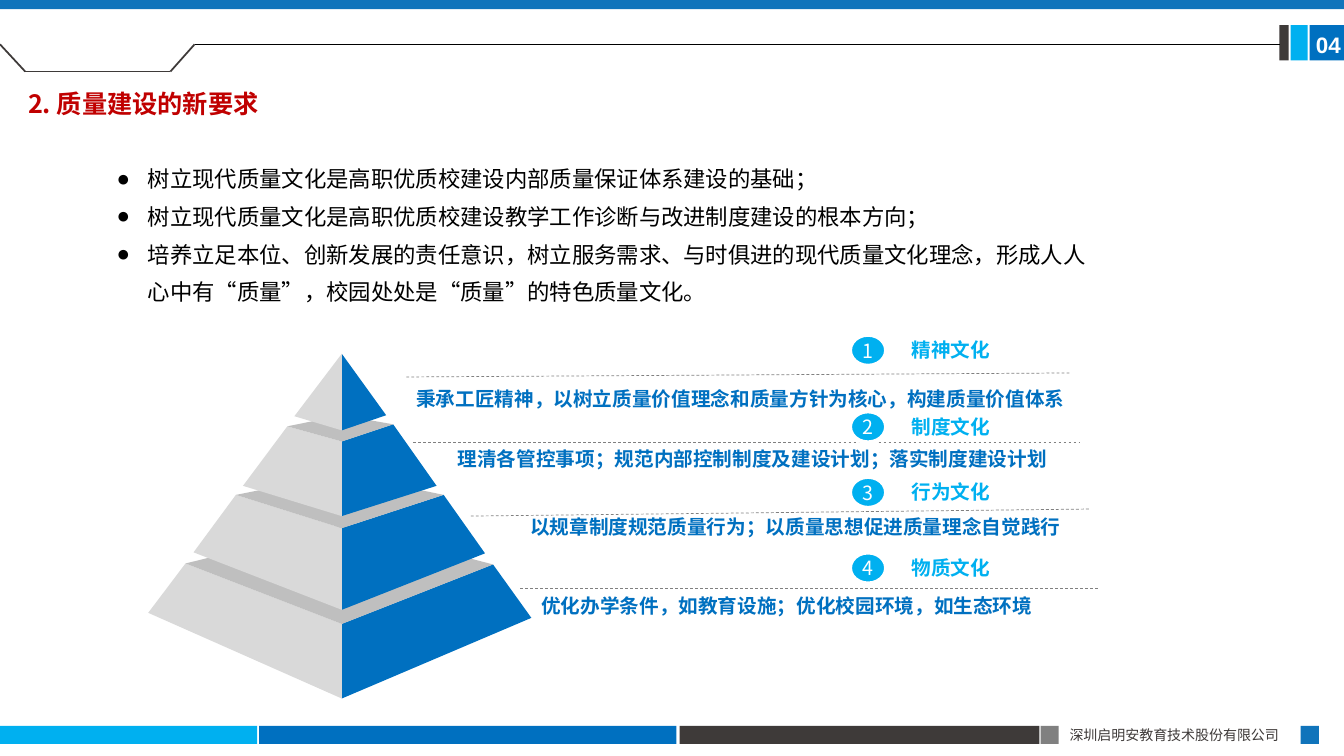
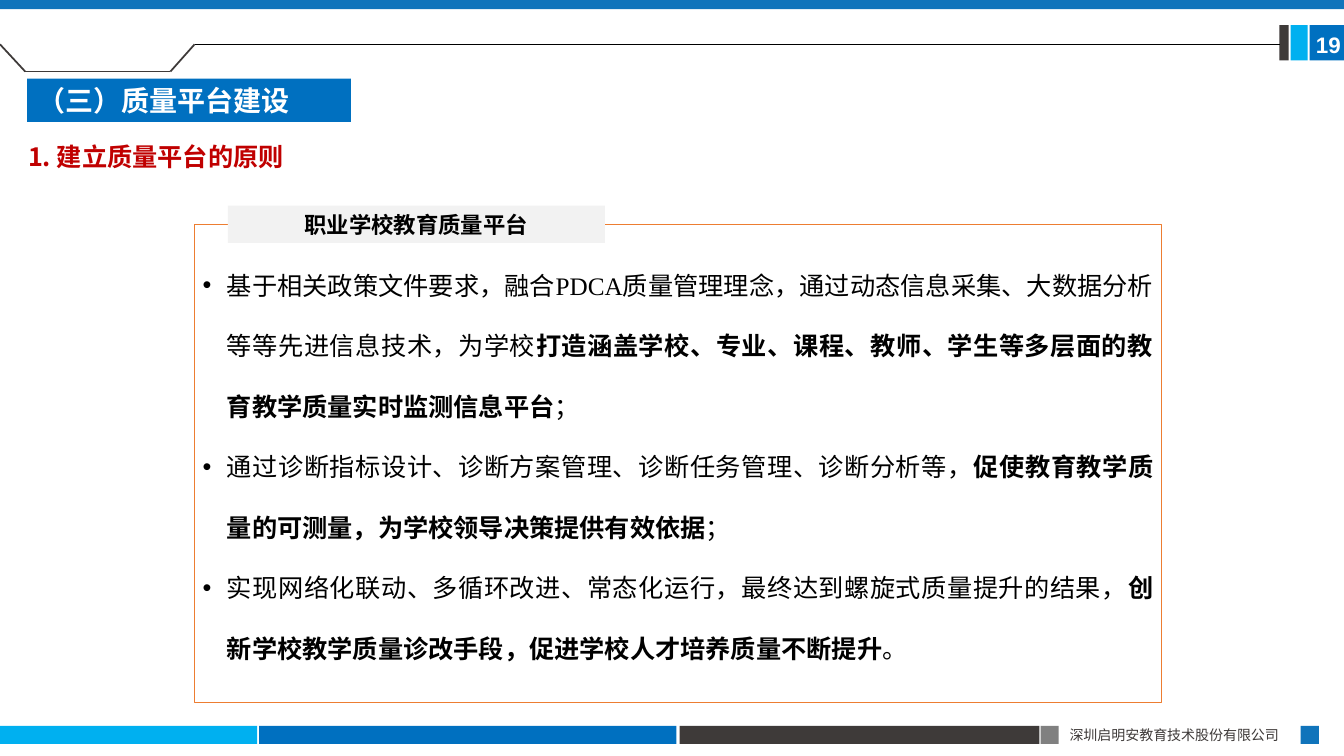
from lxml import etree
from pptx import Presentation
from pptx.dml.color import RGBColor
from pptx.enum.dml import MSO_LINE
from pptx.enum.shapes import MSO_CONNECTOR, MSO_SHAPE
from pptx.enum.text import MSO_ANCHOR, PP_ALIGN
from pptx.oxml.ns import qn
from pptx.util import Pt

PX = 9144
RECT, OVAL = MSO_SHAPE.RECTANGLE, MSO_SHAPE.OVAL
STRAIGHT, DASH = MSO_CONNECTOR.STRAIGHT, MSO_LINE.DASH
TOP, MIDDLE = MSO_ANCHOR.TOP, MSO_ANCHOR.MIDDLE
LEFT, CENTER = PP_ALIGN.LEFT, PP_ALIGN.CENTER
RIGHT, JUSTIFY = PP_ALIGN.RIGHT, PP_ALIGN.JUSTIFY

SANS = "Noto Sans CJK SC"
BLUE, SKY, BAND = "0070C0", "00B0F0", "1074BB"
DARK, GREY, WHITE, BLACK = "3E3A39", "808080", "FFFFFF", "000000"
RED, ORANGE, PALE = "C00000", "ED7D31", "F2F2F2"
SHADE, LID = "D9D9D9", "BFBFBF"

# Shared frame
BARS = [
    ((0, 720, 255, 18), SKY), ((257, 720, 414, 18), BLUE),
    ((674, 720, 357, 18), DARK), ((1032, 720, 18, 18), GREY),
    ((1290, 720, 18, 18), BAND), ((1299, 25, 34, 35), BLUE),
    ((1280, 25, 17, 35), SKY), ((1269, 25, 9, 35), DARK),
    ((0, 0, 1333, 9), BAND),
]
NOTCH = [(0, 44), (25, 71), (169, 71), (193, 44)]
RULE = [(193, 44), (1270, 44)]
OWNER = "深圳启明安教育技术股份有限公司"

# Slide 1
POINTS = [
    "树立现代质量文化是高职优质校建设内部质量保证体系建设的基础；",
    "树立现代质量文化是高职优质校建设教学工作诊断与改进制度建设的根本方向；",
    "培养立足本位、创新发展的责任意识，树立服务需求、与时俱进的现代质量文化理念，"
    "形成人人心中有“质量”，校园处处是“质量”的特色质量文化。",
]
AXIS = 339
# Left top, left bottom, right top, right bottom, axis top, axis bottom, lid back
TIERS = [
    ((AXIS, 351), (292, 413), (AXIS, 351), (383, 412), 351, 427, None),
    ((285, 423), (241, 482), (390, 421), (433, 482), 438, 512, 412),
    ((234, 491), (192, 548), (440, 491), (481, 549), 524, 605, 470),
    ((184, 559), (147, 608), (489, 560), (527, 613), 619, 693, 521),
]
# Name, disc top, dashed line, note box, note
LEVELS = [
    ("精神文化", 332, [(403, 374), (1061, 370)], (403, 374, 681, 60),
     "秉承工匠精神，以树立质量价值理念和质量方针为核心，构建质量价值体系"),
    ("制度文化", 408, [(410, 439), (1071, 439)], (444, 434, 645, 67),
     "理清各管控事项；规范内部控制制度及建设计划；落实制度建设计划"),
    ("行为文化", 473, [(467, 512), (1080, 505)], (516, 501, 569, 62),
     "以规章制度规范质量行为；以质量思想促进质量理念自觉践行"),
    ("物质文化", 548, [(516, 584), (1090, 584)], (527, 580, 553, 72),
     "优化办学条件，如教育设施；优化校园环境，如生态环境"),
]

# Slide 2: plain start, bold middle, plain end
GOALS = [
    ("基于相关政策文件要求，融合PDCA质量管理理念，通过动态信息采集、大数据分析等等先进信息技术，为学校",
     "打造涵盖学校、专业、课程、教师、学生等多层面的教育教学质量实时监测信息平台", "；"),
    ("通过诊断指标设计、诊断方案管理、诊断任务管理、诊断分析等，",
     "促使教育教学质量的可测量，为学校领导决策提供有效依据", "；"),
    ("实现网络化联动、多循环改进、常态化运行，最终达到螺旋式质量提升的结果，",
     "创新学校教学质量诊改手段，促进学校人才培养质量不断提升", "。"),
]


def rgb(code):
    return RGBColor.from_string(code)


def px(*nums):
    return [n * PX for n in nums]


def paint(shape, fill=None, line=None, width=1):
    shape.shadow.inherit = False
    if fill:
        shape.fill.solid()
        shape.fill.fore_color.rgb = rgb(fill)
    else:
        shape.fill.background()
    if line:
        shape.line.color.rgb = rgb(line)
        shape.line.width = Pt(width)
    else:
        shape.line.fill.background()
    return shape


def block(slide, at, fill=None, kind=RECT, **edge):
    return paint(slide.shapes.add_shape(kind, *px(*at)), fill, **edge)


def face(slide, dots, fill):
    """Draw a closed, filled polygon."""
    pen = slide.shapes.build_freeform(*dots[0], scale=PX)
    pen.add_line_segments(dots[1:], close=True)
    paint(pen.convert_to_shape(), fill)


def stroke(slide, dots, color, width, dash=None):
    """Join the dots with straight lines."""
    for start, end in zip(dots, dots[1:]):
        line = slide.shapes.add_connector(STRAIGHT, *px(*start, *end))
        line.line.color.rgb = rgb(color)
        line.line.width = Pt(width)
        if dash:
            line.line.dash_style = dash
        etree.SubElement(line._element.spPr, qn("a:effectLst"))


def bullet(para, mark, indent):
    props = para._p.get_or_add_pPr()
    props.set("marL", str(indent * PX))
    props.set("indent", str(-indent * PX))
    etree.SubElement(props, qn("a:buFont"), typeface="Arial")
    etree.SubElement(props, qn("a:buChar"), char=mark)


def write(shape, paras, size, color, bold=False, font=SANS, east=SANS,
          align=LEFT, anchor=TOP, space=None, mark=None, indent=0,
          inset=(10, 5)):
    """Fill a shape; a paragraph is a tuple of runs, every second one bold."""
    frame = shape.text_frame
    side, top = px(*inset)
    look = dict(word_wrap=True, vertical_anchor=anchor, margin_left=side,
                margin_right=side, margin_top=top, margin_bottom=top)
    for key, value in look.items():
        setattr(frame, key, value)
    for i, runs in enumerate(paras):
        para = frame.add_paragraph() if i else frame.paragraphs[0]
        if mark:
            bullet(para, mark, indent)
        para.alignment = align
        para.line_spacing = space
        for j, text in enumerate(runs):
            run = para.add_run()
            run.text = text
            style = dict(name=font, size=Pt(size), bold=bold or j % 2 == 1)
            for key, value in style.items():
                setattr(run.font, key, value)
            run.font.color.rgb = rgb(color)
            etree.SubElement(run._r.get_or_add_rPr(), qn("a:ea"), typeface=east)


def label(slide, at, text, size, color, **style):
    write(slide.shapes.add_textbox(*px(*at)), [(text,)], size, color, **style)


def base(deck, page, title, top):
    """Add a slide with bands, footer, page number and red title."""
    slide = deck.slides.add_slide(deck.slide_layouts[6])
    for at, fill in BARS:
        block(slide, at, fill)
    label(slide, (1051, 716, 240, 27), OWNER, 10, DARK)
    stroke(slide, NOTCH, DARK, 1.25)
    stroke(slide, RULE, BLACK, 0.5)
    label(slide, (1302, 26, 31, 37), page, 16, WHITE, bold=True,
          font="Arial", east="Arial", align=CENTER, inset=(0, 5))
    label(slide, (18, top, 400, 56), title, 18, RED, bold=True, space=1.5)
    return slide


def pyramid(slide):
    for lt, lb, rt, rb, top, low, back in reversed(TIERS):
        head, foot = (AXIS, top), (AXIS, low)
        face(slide, [head, rt, rb, foot], BLUE)
        face(slide, [head, lt, lb, foot], SHADE)
        if back:
            face(slide, [rt, (AXIS, back), lt, head], LID)


def culture(deck):
    slide = base(deck, "04", "2. 质量建设的新要求", 68)
    box = slide.shapes.add_textbox(*px(106, 148, 983, 157))
    write(box, [(p,) for p in POINTS], 16, BLACK, space=Pt(27),
          mark="●", indent=31)
    pyramid(slide)
    for num, (name, top, dots, at, note) in enumerate(LEVELS, 1):
        stroke(slide, dots, GREY, 0.5, DASH)
        disc = block(slide, (843, top, 36, 31), SKY, OVAL, line=WHITE, width=3)
        write(disc, [(str(num),)], 14, WHITE, align=CENTER, anchor=MIDDLE,
              inset=(0, 0))
        label(slide, (543, top - 6, 449, 42), name, 14, SKY, bold=True,
              align=RIGHT, anchor=MIDDLE)
        label(slide, at, note, 14, BLUE, bold=True, space=Pt(20))


def platform(deck):
    slide = base(deck, "19", "1. 建立质量平台的原则", 120)
    head = block(slide, (27, 78, 321, 43), BLUE)
    write(head, [("（三）质量平台建设",)], 20, WHITE, bold=True,
          font="Calibri", anchor=MIDDLE)
    panel = block(slide, (193, 223, 959, 474), line=ORANGE)
    write(panel, GOALS, 18, BLACK, font="Times New Roman", align=JUSTIFY,
          space=2.0, mark="•", indent=24, inset=(8, 15))
    tab = block(slide, (226, 204, 374, 37), PALE)
    write(tab, [("职业学校教育质量平台",)], 16, BLACK, bold=True,
          align=CENTER, anchor=MIDDLE, inset=(8, 4))


def main():
    deck = Presentation()
    deck.slide_width, deck.slide_height = px(1333, 750)
    culture(deck)
    platform(deck)
    deck.save("out.pptx")


if __name__ == "__main__":
    main()
